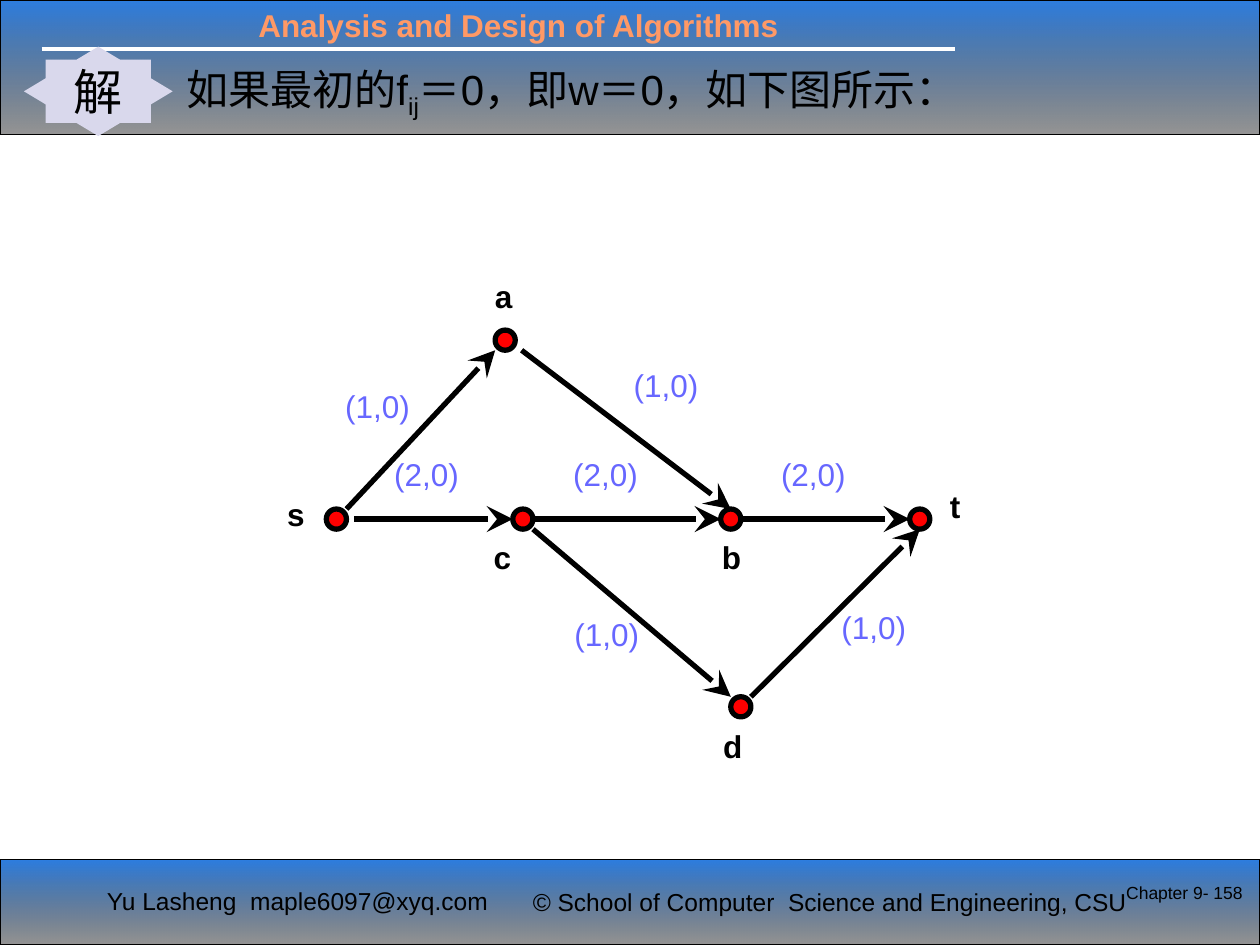
from dataclasses import dataclass
from lxml.etree import SubElement
from pptx import Presentation
from pptx.dml.color import RGBColor as RGB
from pptx.enum.shapes import MSO_CONNECTOR as LINE, MSO_SHAPE as SHAPE
from pptx.enum.text import MSO_ANCHOR as ANCHOR, MSO_AUTO_SIZE as FIT, PP_ALIGN as ALIGN
from pptx.oxml.ns import qn
from pptx.util import Inches, Pt


@dataclass
class Theme:
    face: str = "Arial"
    ink: str = "000000"
    sky: str = "0E6BDC"
    title: str = "FF9966"
    rule: str = "FFFFFF"
    star: str = "D9D8EC"
    node: str = "FF0000"
    flow: str = "6767FF"
    big: int = 28
    body: int = 24
    label: int = 18
    foot: int = 14
    page: int = 10


theme = Theme()


def write(box, text, size, color=theme.ink, bold=False, wrap=False):
    """Append one run to the first paragraph and return that run."""
    frame = box.text_frame
    frame.word_wrap = wrap
    frame.auto_size = FIT.NONE
    run = frame.paragraphs[0].add_run()
    run.text = text
    font = run.font
    font.name, font.size, font.bold = theme.face, Pt(size), bold
    font.color.rgb = RGB.from_string(color)
    return run


def draw(start, end, color, width):
    """Add a straight connector without shadow."""
    link = shapes.add_connector(LINE.STRAIGHT, *[Inches(v) for v in (*start, *end)])
    link.line.color.rgb = RGB.from_string(color)
    link.line.width = Pt(width)
    SubElement(link._element.spPr, qn("a:effectLst"))
    return link


deck = Presentation()
deck.slide_width, deck.slide_height = Inches(10), Inches(7.5)
slide = deck.slides.add_slide(deck.slide_layouts[1])
shapes = slide.shapes

# Header and footer bands, behind everything else
for layer, (top, high) in enumerate([(0, 1.07), (6.82, 0.68)]):
    band = shapes.add_shape(SHAPE.RECTANGLE, 0, Inches(top), Inches(10), Inches(high))
    band.shadow.inherit = False
    band.fill.gradient()
    band.fill.gradient_angle = 270
    for stop, color in zip(band.fill.gradient_stops, (theme.sky, theme.ink)):
        stop.color.rgb = RGB.from_string(color)
    for tint, alpha in zip(band._element.findall(".//" + qn("a:gs")), (88, 41)):
        SubElement(tint[0], qn("a:alpha"), val=str(alpha * 1000))
    band.line.color.rgb = RGB.from_string(theme.ink)
    band.line.width = Pt(0.75)
    shapes._spTree.insert(2 + layer, band._element)

draw((0.33, 0.39), (7.58, 0.39), theme.rule, 2.25)

# Title and statement
title, body = shapes.title, slide.placeholders[1]
for box, place in [(title, (1.95, 0, 5, 0.4)), (body, (1.38, 0.45, 8.6, 0.74))]:
    box.left, box.top, box.width, box.height = [Inches(v) for v in place]
    box.text_frame.vertical_anchor = ANCHOR.TOP
    para = box.text_frame.paragraphs[0]
    para.alignment = ALIGN.LEFT
    para.space_before = Pt(0)
write(title, "Analysis and Design of Algorithms", theme.label, theme.title, True, True)
props = para._p.get_or_add_pPr()
props.set("marL", str(Inches(0.38)))
props.set("indent", str(Inches(-0.38)))
SubElement(props, qn("a:buNone"))
write(body, "如果最初的f", theme.body, wrap=True)
sub = write(body, "ij", theme.body, wrap=True)
sub.font._element.set("baseline", "-25000")
write(body, "＝0，即w＝0，如下图所示：", theme.body, wrap=True)

star = shapes.add_shape(SHAPE.STAR_8_POINT, Inches(0.19), Inches(0.37), Inches(1.18), Inches(0.71))
star.adjustments[0] = 0.383
star.shadow.inherit = False
star.fill.solid()
star.fill.fore_color.rgb = RGB.from_string(theme.star)
star.line.fill.background()
star.text_frame.vertical_anchor = ANCHOR.MIDDLE
star.text_frame.paragraphs[0].alignment = ALIGN.CENTER
write(star, "解", theme.big)

# Network: node centres, and edges as offsets from the centres
rad = 0.08
nodes = {"s": (2.67, 4.12), "a": (4.01, 2.7), "c": (4.15, 4.12),
         "b": (5.8, 4.12), "d": (5.88, 5.61), "t": (7.3, 4.12)}
edges = [
    ("s", (rad, -rad), "a", (-rad, rad)),
    ("a", (0.13, rad), "b", (0, -rad)),
    ("s", (0.14, 0), "c", (-rad, 0)),
    ("c", (rad, 0), "b", (-rad, 0)),
    ("b", (rad, 0), "t", (-rad, 0)),
    ("c", (rad, rad), "d", (-rad, -rad)),
    ("d", (rad, -rad), "t", (0, rad)),
]
for tail, out, head, into in edges:
    ends = [[p + q for p, q in zip(nodes[n], gap)] for n, gap in ((tail, out), (head, into))]
    edge = draw(*ends, theme.ink, 3)
    SubElement(edge.line._get_or_add_ln(), qn("a:tailEnd"), type="stealth", w="lg", len="lg")

for x, y in nodes.values():
    dot = shapes.add_shape(SHAPE.OVAL, Inches(x - rad), Inches(y - rad), Inches(2 * rad), Inches(2 * rad))
    dot.shadow.inherit = False
    dot.fill.solid()
    dot.fill.fore_color.rgb = RGB.from_string(theme.node)
    dot.line.color.rgb = RGB.from_string(theme.ink)
    dot.line.width = Pt(3)

# Labels: text, left, top, width
names = [("s", 2.18, 3.88, 0.34), ("a", 3.83, 2.15, 0.36), ("b", 5.63, 4.22, 0.39),
         ("c", 3.82, 4.22, 0.36), ("d", 5.64, 5.72, 0.39), ("t", 7.44, 3.82, 0.31)]
flows = [("(1,0)", 2.64, 3.02, 0.78), ("(1,0)", 4.93, 2.86, 0.78), ("(2,0)", 6.1, 3.56, 0.78),
         ("(2,0)", 4.45, 3.56, 0.78), ("(2,0)", 3.03, 3.56, 0.78), ("(1,0)", 4.46, 4.83, 0.78),
         ("(1,0)", 6.58, 4.78, 0.78)]
foots = [("Yu Lasheng  maple6097@xyq.com", 0.75, 6.98, 3.21),
         ("© School of Computer  Science and Engineering, CSU", 4.13, 6.99, 5.12)]
for group, size, color, bold, high in [(names, theme.label, theme.ink, True, 0.5),
                                       (flows, theme.label, theme.flow, False, 0.5),
                                       (foots, theme.foot, theme.ink, False, 0.34)]:
    for text, left, top, wide in group:
        box = shapes.add_textbox(Inches(left), Inches(top), Inches(wide), Inches(high))
        write(box, text, size, color, bold)

page = shapes.add_textbox(Inches(8.7), Inches(6.95), Inches(1.26), Inches(0.5))
page.text_frame.paragraphs[0].alignment = ALIGN.RIGHT
write(page, "Chapter 9- 158", theme.page, wrap=True)

deck.save("out.pptx")
